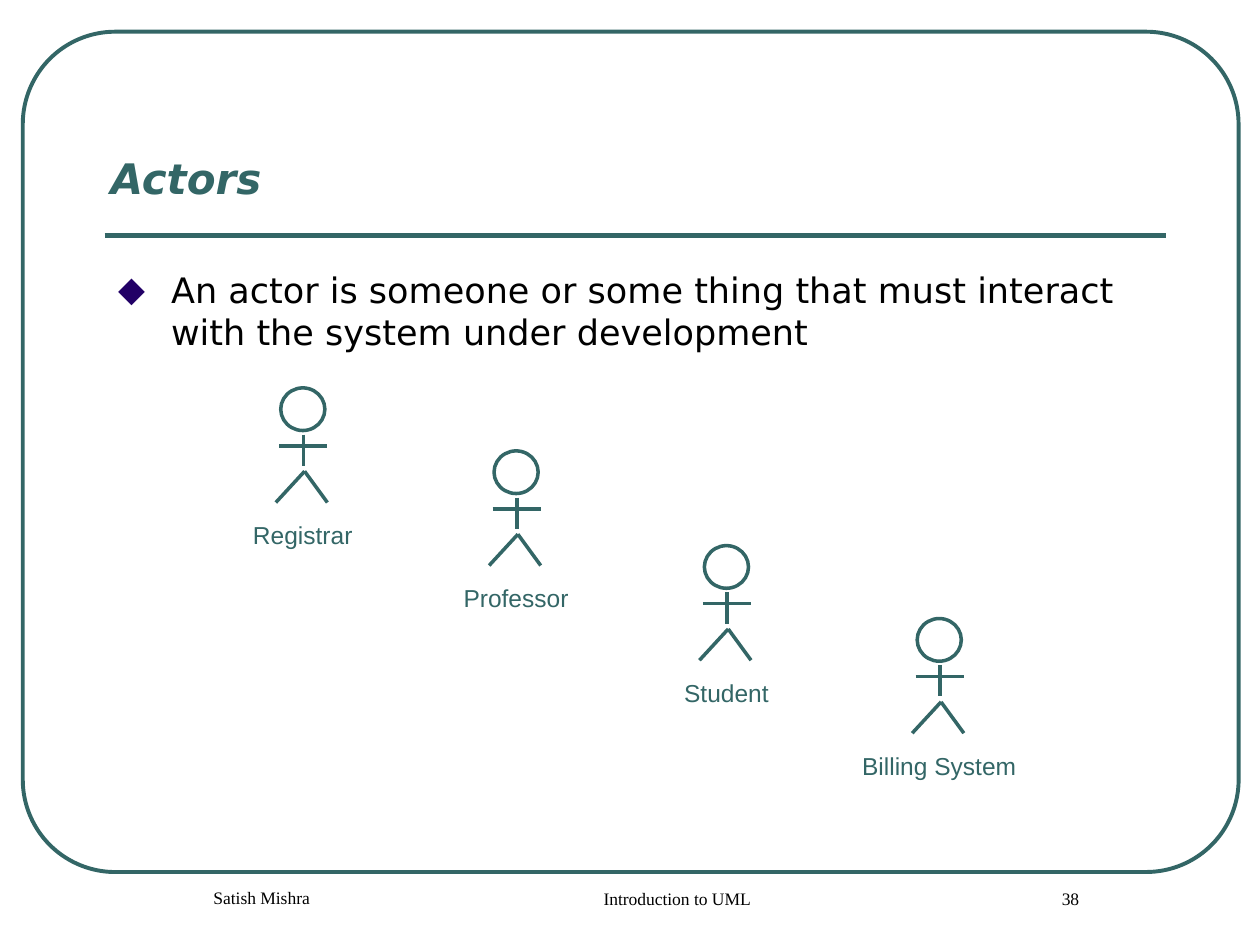
"""Build the Actors slide: a definition and four UML stick figures."""
from dataclasses import dataclass
from typing import Any

from lxml import etree
from pptx import Presentation
from pptx import util as u
from pptx.dml.color import RGBColor
from pptx.enum import shapes, text
from pptx.oxml import ns

TEAL = RGBColor(0x33, 0x66, 0x66)
BLACK = RGBColor(0, 0, 0)
INDIGO = RGBColor(0x22, 0x00, 0x66)

HEAD_WIDTH, HEAD_HEIGHT = 0.89, 0.86
LIMBS = (
    (0.48, 1.68, -0.10, 2.31),
    (0.48, 1.68, 0.94, 2.31),
    (0.46, 0.94, 0.46, 1.57),
    (-0.03, 1.17, 0.94, 1.17),
)


@dataclass(frozen=True)
class Actor:
    role: str
    left: float
    top: float
    label_width: float


@dataclass(frozen=True)
class Footer:
    wording: str
    left: float
    top: float
    width: float


ACTORS = (
    Actor("Student", 14.20, 11.00, 2.21),
    Actor("Registrar", 5.66, 7.82, 2.51),
    Actor("Professor", 9.96, 9.09, 2.62),
    Actor("Billing System", 18.49, 12.47, 3.61),
)
FOOTERS = (
    Footer("Introduction to UML", 9.32, 17.78, 8.05),
    Footer("38", 19.05, 17.78, 4.45),
    Footer("Satish Mishra", 2.11, 17.75, 5.72),
)


def add_run(paragraph: Any, wording: str, font: str, size: float, color: RGBColor) -> Any:
    run = paragraph.add_run()
    run.text = wording
    run.font.name = font
    run.font.size = u.Pt(size)
    run.font.color.rgb = color
    return run


def set_insets(frame: Any, side: float, vertical: float) -> None:
    frame.margin_left = frame.margin_right = u.Cm(side)
    frame.margin_top = frame.margin_bottom = u.Cm(vertical)


def add_text_box(parent: Any, left: float, top: float, width: float, height: float,
                 wrap: bool = True) -> Any:
    frame = parent.add_textbox(u.Cm(left), u.Cm(top), u.Cm(width), u.Cm(height)).text_frame
    frame.word_wrap = wrap
    return frame


def add_outline(parent: Any, kind: Any, left: float, top: float, width: float,
                height: float, weight: float) -> Any:
    outline = parent.add_shape(kind, u.Cm(left), u.Cm(top), u.Cm(width), u.Cm(height))
    outline.shadow.inherit = False
    outline.fill.background()
    outline.line.color.rgb = TEAL
    outline.line.width = u.Pt(weight)
    return outline


def add_line(parent: Any, x1: float, y1: float, x2: float, y2: float, weight: float) -> None:
    line = parent.add_connector(shapes.MSO_CONNECTOR.STRAIGHT,
                                u.Cm(x1), u.Cm(y1), u.Cm(x2), u.Cm(y2))
    line.line.color.rgb = TEAL
    line.line.width = u.Pt(weight)
    etree.SubElement(line._element.spPr, ns.qn("a:effectLst"))


def add_bullet(paragraph: Any, symbol: str, font: str, color: RGBColor, indent: float) -> None:
    properties = paragraph._p.get_or_add_pPr()
    properties.set("marL", str(u.Cm(indent)))
    properties.set("indent", str(-u.Cm(indent)))
    bullet_color = etree.SubElement(properties, ns.qn("a:buClr"))
    etree.SubElement(bullet_color, ns.qn("a:srgbClr"), val=str(color))
    etree.SubElement(properties, ns.qn("a:buFont"), typeface=font)
    etree.SubElement(properties, ns.qn("a:buChar"), char=symbol)


def add_actor(slide: Any, actor: Actor) -> None:
    parts = slide.shapes.add_group_shape().shapes
    add_outline(parts, shapes.MSO_SHAPE.OVAL, actor.left, actor.top,
                HEAD_WIDTH, HEAD_HEIGHT, 2)
    for x1, y1, x2, y2 in LIMBS:
        add_line(parts, actor.left + x1, actor.top + y1,
                 actor.left + x2, actor.top + y2, 2)
    label_left = actor.left + (HEAD_WIDTH - actor.label_width) / 2
    label = add_text_box(parts, label_left, actor.top + 2.54, actor.label_width, 0.84, wrap=False)
    label.vertical_anchor = text.MSO_ANCHOR.MIDDLE
    label.paragraphs[0].alignment = text.PP_ALIGN.CENTER
    add_run(label.paragraphs[0], actor.role, "Arial", 14, TEAL)


def add_footer(slide: Any, footer: Footer) -> None:
    paragraph = add_text_box(slide.shapes, footer.left, footer.top,
                             footer.width, 1.27).paragraphs[0]
    paragraph.alignment = text.PP_ALIGN.CENTER
    paragraph._p.get_or_add_pPr().set("marL", str(u.Cm(0.61)))
    add_run(paragraph, footer.wording, "Times New Roman", 10, BLACK)


def add_title(slide: Any) -> None:
    title = slide.shapes.title
    title.left, title.top = u.Cm(2.08), u.Cm(3)
    title.width, title.height = u.Cm(18.11), u.Cm(1.14)
    frame = title.text_frame
    set_insets(frame, 0.15, 0.05)
    frame.vertical_anchor = text.MSO_ANCHOR.BOTTOM
    frame.auto_size = text.MSO_AUTO_SIZE.NONE
    frame.paragraphs[0].alignment = text.PP_ALIGN.LEFT
    heading = add_run(frame.paragraphs[0], "Actors", "DejaVu Sans", 24, TEAL)
    heading.font.bold = heading.font.italic = True


def add_definition(slide: Any) -> None:
    frame = add_text_box(slide.shapes, 2.08, 5.26, 21.39, 11.23)
    set_insets(frame, 0.30, 0.15)
    add_bullet(frame.paragraphs[0], "◆", "DejaVu Sans", INDIGO, 1.07)
    add_run(frame.paragraphs[0],
            "An actor is someone or some thing that must interact "
            "with the system under development", "DejaVu Sans", 20, BLACK)


def main() -> None:
    deck = Presentation()
    deck.slide_width, deck.slide_height = u.Cm(25.4), u.Cm(19.05)
    slide = deck.slides.add_slide(deck.slide_layouts[5])
    border = add_outline(slide.shapes, shapes.MSO_SHAPE.ROUNDED_RECTANGLE,
                         0.46, 0.64, 24.51, 16.94, 2.25)
    border.adjustments[0] = 0.11
    add_line(slide.shapes, 2.11, 4.75, 23.5, 4.75, 3)
    add_title(slide)
    add_definition(slide)
    for actor in ACTORS:
        add_actor(slide, actor)
    for footer in FOOTERS:
        add_footer(slide, footer)
    deck.save("out.pptx")


if __name__ == "__main__":
    main()
